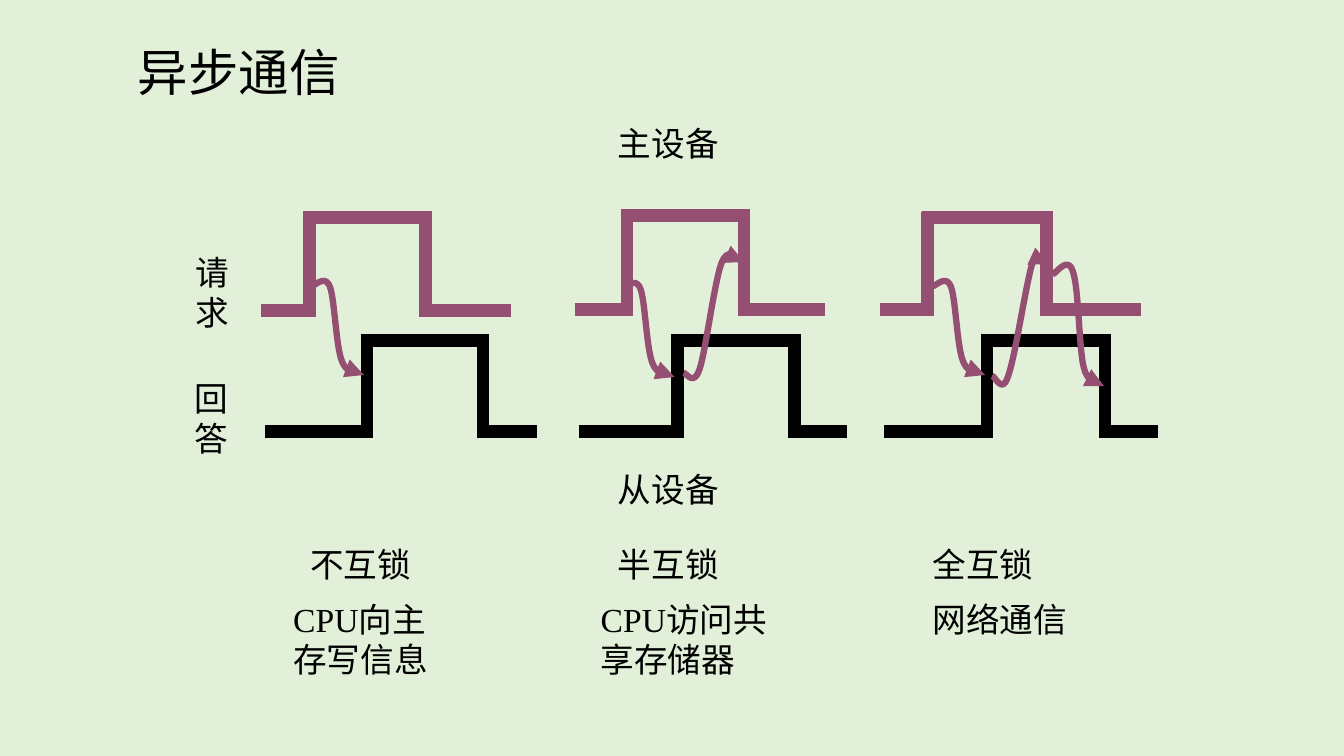
from lxml import etree
from pptx import Presentation
from pptx.dml.color import RGBColor
from pptx.enum.shapes import MSO_CONNECTOR
from pptx.oxml.ns import qn
from pptx.util import Pt

STRAIGHT = MSO_CONNECTOR.STRAIGHT
EMU_PER_PX = 9144  # 100 px to the inch
COLORS = {"background": "E2F0D9", "text": "000000",
          "request": "954F72", "answer": "000000"}
FONT = "Times New Roman"
PULSE_WIDTH, ARROW_WIDTH = 9, 4.5
OVERHANG = 6  # half a pulse line, closes the corners
CURVE_STEPS = 12

# start, rise, fall, end, high level, low level
REQUEST_PULSES = [
    (259, 307, 422, 507, 216, 308),
    (570, 622, 738, 818, 214, 307),
    (873, 920, 1038, 1132, 216, 307),
]
ANSWER_PULSES = [
    (263, 364, 479, 533, 338, 428),
    (574, 672, 788, 840, 338, 428),
    (877, 979, 1096, 1149, 338, 428),
]

# Bezier points measured from the start of each arrow
REQUEST_RISE = [(0, 0), (3, 0), (13, -12), (18, 0), (23, 12), (24, 59),
                (30, 74), (35, 88), (47, 85), (52, 88)]
REQUEST_FALL = [(0, 0), (3, 0), (15, -19), (20, -3), (26, 12), (26, 75),
                (31, 93), (36, 112), (48, 105), (51, 108),
                (54, 111), (51, 111), (51, 111)]
HALF_ANSWER = [(0, 0), (3, 0), (10, 14), (16, -4), (22, -22), (31, -93),
               (38, -110), (46, -128), (57, -110), (60, -110)]
FULL_ANSWER = [(0, 0), (3, 0), (10, 19), (16, 0), (23, -19), (34, -94),
               (40, -112), (47, -131), (53, -111), (56, -111)]
ARROWS = [
    (309, 284, REQUEST_RISE),
    (617, 286, REQUEST_RISE),
    (925, 284, REQUEST_RISE),
    (678, 370, HALF_ANSWER),
    (984, 373, FULL_ANSWER),
    (1044, 272, REQUEST_FALL),
]

# kind of interlock, its left and top, example, its left and width
MODES = [
    ("不互锁", 298, "CPU向主存写信息", 281, 184),
    ("半互锁", 603, "CPU访问共享存储器", 586, 208),
    ("全互锁", 915, "网络通信", 915, 167),
]


def px(length):
    return round(length * EMU_PER_PX)


def rgb(name):
    return RGBColor.from_string(COLORS[name])


def add_text(slide, text, left, top, width, height=50, size=24, wrap=True):
    box = slide.shapes.add_textbox(px(left), px(top), px(width), px(height))
    frame = box.text_frame
    frame.word_wrap = wrap
    frame.text = text
    for paragraph in frame.paragraphs:
        paragraph.font.name = FONT
        paragraph.font.size = Pt(size)
        paragraph.font.color.rgb = rgb("text")


def add_stroke(slide, start, end, color):
    stroke = slide.shapes.add_connector(STRAIGHT, *map(px, start + end))
    stroke.line.color.rgb = rgb(color)
    stroke.line.width = Pt(PULSE_WIDTH)
    etree.SubElement(stroke._element.spPr, qn("a:effectLst"))


def add_pulse(slide, pulse, color):
    start, rise, fall, end, high, low = pulse
    for left, right, level in [
        (start, rise + OVERHANG, low),
        (rise - OVERHANG, fall + OVERHANG, high),
        (fall - OVERHANG, end, low),
    ]:
        add_stroke(slide, (left, level), (right, level), color)
    for edge in (rise, fall):
        add_stroke(slide, (edge, high - OVERHANG), (edge, low + OVERHANG), color)


def bezier(controls, t):
    weights = ((1 - t) ** 3, 3 * t * (1 - t) ** 2, 3 * t ** 2 * (1 - t), t ** 3)
    return tuple(sum(w * value for w, value in zip(weights, axis))
                 for axis in zip(*controls))


def add_curved_arrow(slide, left, top, points):
    """Trace joined cubic curves, three more points for each, with a head."""
    trace = [bezier(points[i:i + 4], step / CURVE_STEPS)
             for i in range(0, len(points) - 1, 3)
             for step in range(1, CURVE_STEPS + 1)]
    builder = slide.shapes.build_freeform(px(left), px(top), scale=1.0)
    builder.add_line_segments(
        [(px(left + x), px(top + y)) for x, y in trace], close=False)
    arrow = builder.convert_to_shape()
    arrow.shadow.inherit = False
    arrow.fill.background()
    arrow.line.color.rgb = rgb("request")
    arrow.line.width = Pt(ARROW_WIDTH)
    etree.SubElement(arrow.line._get_or_add_ln(), qn("a:tailEnd"), type="triangle")


def main():
    prs = Presentation()
    prs.slide_width, prs.slide_height = px(1333), px(750)
    slide = prs.slides.add_slide(prs.slide_layouts[6])
    slide.background.fill.solid()
    slide.background.fill.fore_color.rgb = rgb("background")

    add_text(slide, "异步通信", 127, 36, 307, 70, size=36)
    add_text(slide, "主设备", 603, 117, 253)
    add_text(slide, "从设备", 603, 460, 295)
    add_text(slide, "请\n求", 184, 245, 54, 91, wrap=False)
    add_text(slide, "回\n答", 183, 370, 54, 91, wrap=False)

    for pulse in REQUEST_PULSES:
        add_pulse(slide, pulse, "request")
    for pulse in ANSWER_PULSES:
        add_pulse(slide, pulse, "answer")
    for left, top, points in ARROWS:
        add_curved_arrow(slide, left, top, points)

    for mode, mode_left, example, example_left, example_width in MODES:
        add_text(slide, mode, mode_left, 535, 167)
        add_text(slide, example, example_left, 589, example_width, 91)

    prs.save("out.pptx")


if __name__ == "__main__":
    main()
